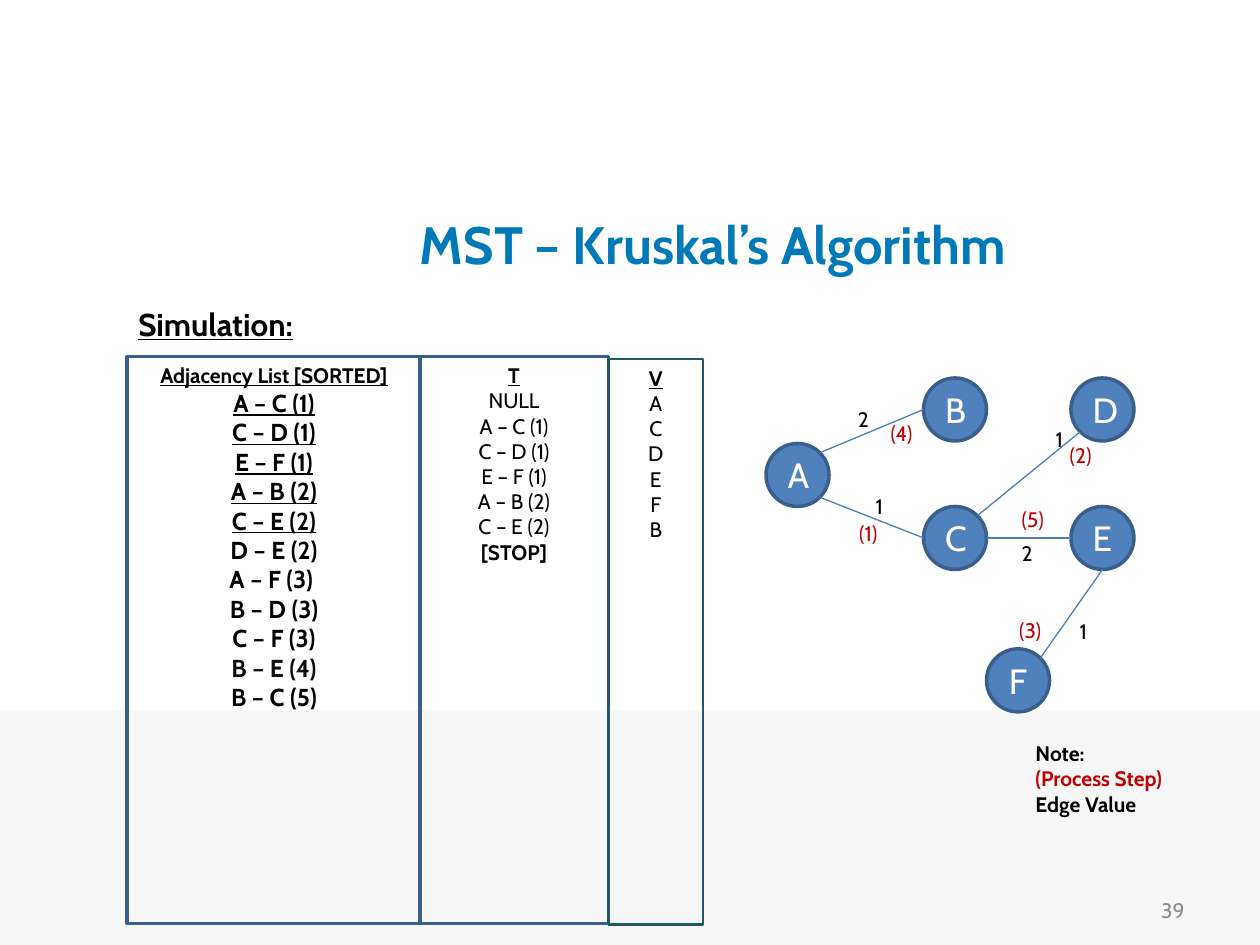
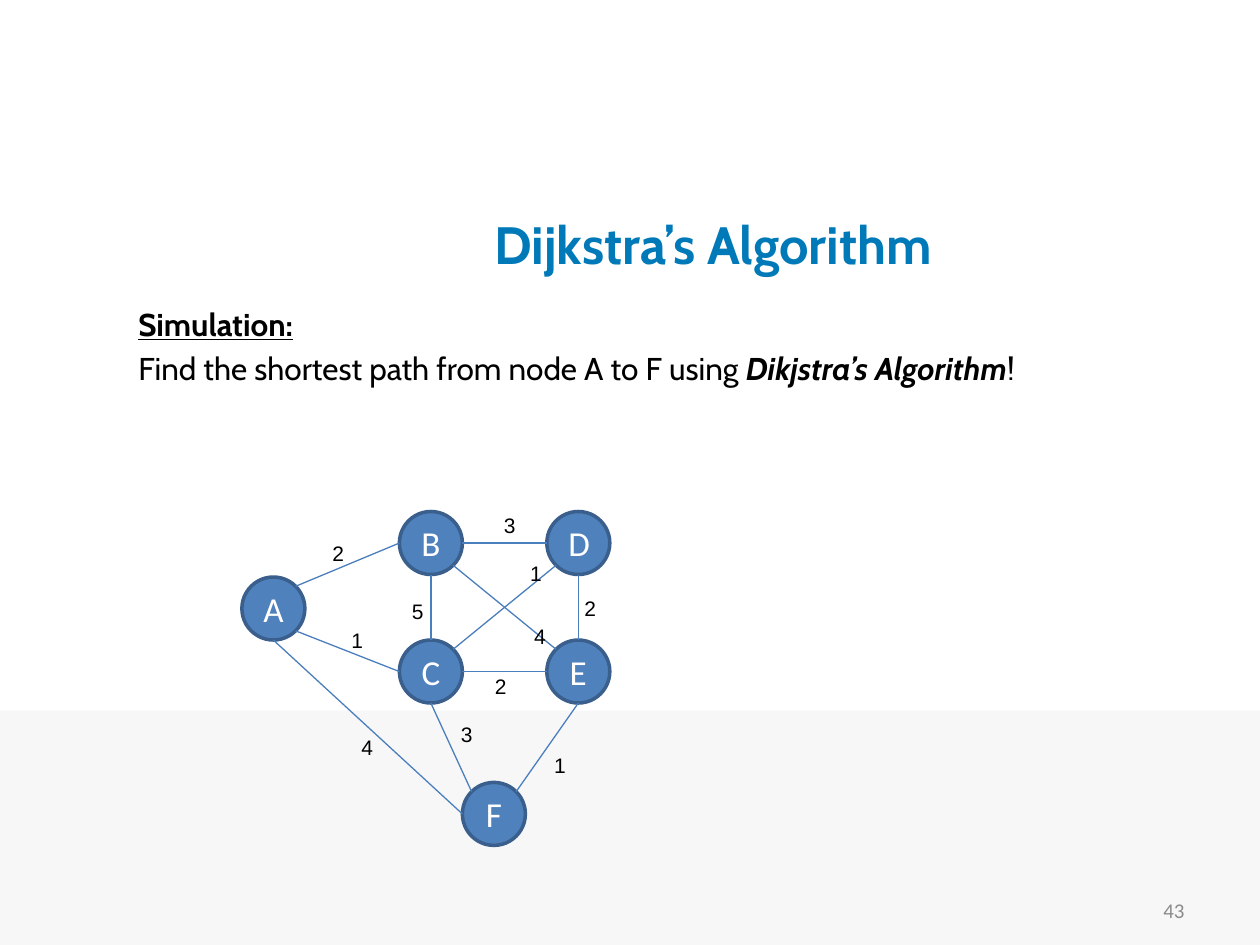
"""Build two slides that simulate the Kruskal and Dijkstra graph algorithms."""
from dataclasses import dataclass
from math import sqrt
from typing import NamedTuple

from lxml.etree import SubElement
from pptx import Presentation
from pptx.dml.color import RGBColor as Rgb
from pptx.enum.shapes import MSO_CONNECTOR as Link, MSO_SHAPE as Form
from pptx.enum.text import MSO_ANCHOR as Anchor, MSO_AUTO_SIZE as Fit, PP_ALIGN as Align
from pptx.oxml.ns import qn
from pptx.util import Inches, Pt


@dataclass(frozen=True)
class Theme:
    title: str = "0079B8"
    band: str = "F7F7F7"
    page: str = "8C8C8C"
    node: str = "4F81BD"
    rim: str = "3A5F8C"
    edge: str = "4B7EBC"
    teal: str = "215968"
    ink: str = "000000"
    soft: str = "0D0D0D"
    step: str = "C00000"
    white: str = "FFFFFF"
    font: str = "Cabin"
    head_size: int = 30
    node_size: int = 20
    body_size: int = 18
    list_size: int = 14
    note_size: int = 12


T = Theme()


class Box(NamedTuple):
    x: float
    y: float
    w: float
    h: float


class Run(NamedTuple):
    text: str
    size: int = T.note_size
    color: str = T.ink
    font: str = T.font
    style: dict = {}


class Label(NamedTuple):
    text: str
    x: float
    y: float


class Column(NamedTuple):
    box: Box
    line: str
    width: float
    rows: list


class Graph(NamedTuple):
    x: float
    y: float
    edges: str
    labels: list
    node_font: str
    label_font: str


BOLD = {"bold": True}
UNDER = {"bold": True, "underline": True}
SIDE = 0.5
NODES = {"A": (0, 0.52), "B": (1.25, 0), "C": (1.25, 1.02),
         "D": (2.42, 0), "E": (2.42, 1.02), "F": (1.75, 2.15)}
SITES = {"n": (0, -1), "e": (1, 0), "s": (0, 1), "w": (-1, 0),
         "ne": (1, -1), "se": (1, 1), "sw": (-1, 1), "nw": (-1, -1)}


def write(shape, rows: list, align=Align.LEFT, anchor=Anchor.TOP, gap: float = 0) -> None:
    """Fill a shape with paragraphs, each a list of runs."""
    frame = shape.text_frame
    frame.word_wrap = True
    frame.vertical_anchor = anchor
    for i, row in enumerate(rows):
        para = frame.paragraphs[0] if i == 0 else frame.add_paragraph()
        para.alignment = align
        para.space_before = Pt(gap)
        for run in row:
            part = para.add_run()
            part.text = run.text
            part.font.color.rgb = Rgb.from_string(run.color)
            for key, value in {"name": run.font, "size": Pt(run.size), **run.style}.items():
                setattr(part.font, key, value)


def add_text(slide, box: Box, rows: list, **form):
    """Add a text box."""
    shape = slide.shapes.add_textbox(*map(Inches, box))
    write(shape, rows, **form)
    return shape


def add_form(slide, form, box: Box, fill: str = "", line: str = "", width: float = 0):
    """Add a flat preset shape with an optional fill and line."""
    shape = slide.shapes.add_shape(form, *map(Inches, box))
    shape.shadow.inherit = False
    if fill:
        shape.fill.solid()
        shape.fill.fore_color.rgb = Rgb.from_string(fill)
    else:
        shape.fill.background()
    if line:
        shape.line.color.rgb = Rgb.from_string(line)
        shape.line.width = Pt(width)
    else:
        shape.line.fill.background()
    return shape


def add_note(slide, box: Box, rows: list) -> None:
    """Add a text box that grows with its unwrapped text."""
    frame = add_text(slide, box, rows).text_frame
    frame.word_wrap = False
    frame.auto_size = Fit.SHAPE_TO_FIT_TEXT


def find_site(graph: Graph, name: str) -> tuple[float, float]:
    """Find a point on a node's rim from a name such as A.ne."""
    node, side = name.split(".")
    dx, dy = SITES[side]
    reach = SIDE / 2 / sqrt(dx * dx + dy * dy)
    x, y = NODES[node]
    return graph.x + x + SIDE / 2 + dx * reach, graph.y + y + SIDE / 2 + dy * reach


def draw_graph(slide, graph: Graph) -> None:
    """Draw the nodes, edges and labels of a graph."""
    for name, (x, y) in NODES.items():
        box = Box(graph.x + x, graph.y + y, SIDE, SIDE)
        node = add_form(slide, Form.OVAL, box, T.node, T.rim, 2)
        write(node, [[Run(name, T.node_size, T.white, graph.node_font)]],
              Align.CENTER, Anchor.MIDDLE)
    for edge in graph.edges.split():
        start, end = (find_site(graph, name) for name in edge.split("-"))
        line = slide.shapes.add_connector(Link.STRAIGHT, *map(Inches, start + end))
        line.line.color.rgb = Rgb.from_string(T.edge)
        line.line.width = Pt(0.75)
        SubElement(line._element.spPr, qn("a:effectLst"))
    for text, x, y in graph.labels:
        step = text.startswith("(")
        run = Run(text, color=T.step if step else T.ink, font=graph.label_font)
        add_note(slide, Box(x, y, 0.42 if step else 0.29, 0.3), [[run]])


def add_slide(deck, title: str, page: Run, body: Box, rows: list):
    """Add a slide with the band, title, page number and body text."""
    slide = deck.slides.add_slide(deck.slide_layouts[6])
    add_form(slide, Form.RECTANGLE, Box(0, 5.64, 10, 1.86), T.band)
    add_text(slide, Box(1.92, 1.5, 7.48, 0.87), [[Run(title, T.head_size, T.title, style=BOLD)]],
             align=Align.CENTER, anchor=Anchor.MIDDLE)
    add_text(slide, Box(7.17, 7.02, 2.33, 0.4), [[page]],
             align=Align.RIGHT, anchor=Anchor.MIDDLE)
    head = [Run("Simulation:", T.body_size, style=UNDER)]
    add_text(slide, body, [head, *rows], gap=T.body_size * 0.2)
    return slide


def build_kruskal(deck) -> None:
    """Build the minimum spanning tree slide."""
    slide = add_slide(deck, "MST – Kruskal’s Algorithm", Run("39", color=T.page),
                      Box(1, 2.37, 2, 0.48), [])
    tree = ["A – C (1)", "C – D (1)", "E – F (1)", "A – B (2)", "C – E (2)"]
    rest = ["D – E (2)", "A – F (3) ", "B – D (3)", "C – F (3)"]
    columns = [
        Column(Box(3.33, 2.83, 1.5, 4.5), T.rim, 2,
               [Run("T", style=UNDER), *map(Run, ["NULL", *tree]), Run("[STOP]", style=BOLD)]),
        Column(Box(4.83, 2.85, 0.75, 4.49), T.teal, 1.5,
               [Run("V", style=UNDER), *map(Run, "ACDEFB")]),
        Column(Box(1.01, 2.83, 2.33, 4.5), T.rim, 2,
               [Run("Adjacency List [SORTED]", style=UNDER),
                *(Run(text, T.list_size, style=UNDER) for text in tree),
                *(Run(text, T.list_size, style=BOLD) for text in rest),
                Run("B – E (4)", T.list_size, T.soft, style=BOLD),
                Run("B – C (5)", T.list_size, style=BOLD)]),
    ]
    for col in columns:
        shape = add_form(slide, Form.RECTANGLE, col.box, line=col.line, width=col.width)
        write(shape, [[run] for run in col.rows], Align.CENTER)
    draw_graph(slide, Graph(
        6.08, 3, "A.ne-B.w A.se-C.w C.e-E.w D.sw-C.ne F.ne-E.s",
        [Label("2", 6.71, 3.18), Label("1", 8.28, 3.34), Label("1", 6.85, 3.87),
         Label("1", 8.47, 4.86), Label("2", 8.01, 4.24), Label("(1)", 6.72, 4.08),
         Label("(2)", 8.39, 3.46), Label("(5)", 8.01, 3.97), Label("(3)", 7.99, 4.85),
         Label("(4)", 6.97, 3.29)], T.font, T.font))
    add_note(slide, Box(8.12, 5.83, 1.44, 0.71),
             [[Run("Note:", style=BOLD)], [Run("(Process Step)", color=T.step, style=BOLD)],
              [Run("Edge Value", style=BOLD)]])


def build_dijkstra(deck) -> None:
    """Build the shortest path slide."""
    task = [Run("Find the shortest path from node A to F using ", T.body_size),
            Run("Dikjstra’s Algorithm", T.body_size, style={"bold": True, "italic": True}),
            Run("!", T.body_size)]
    slide = add_slide(deck, "Dijkstra’s Algorithm", Run("43", color=T.page, font="Calibri"),
                      Box(1, 2.37, 8.58, 4.69), [task])
    draw_graph(slide, Graph(
        1.92, 4.06,
        "A.ne-B.w A.se-C.w B.e-D.w D.s-E.n C.e-E.w B.s-C.n D.sw-C.ne B.se-E.nw "
        "A.s-F.w F.ne-E.s C.s-F.nw",
        [Label("2", 2.54, 4.24), Label("3", 3.9, 4.02), Label("2", 4.54, 4.68),
         Label("1", 4.11, 4.4), Label("4", 4.14, 4.9), Label("5", 3.17, 4.7),
         Label("1", 2.69, 4.93), Label("4", 2.77, 5.78), Label("3", 3.56, 5.68),
         Label("1", 4.3, 5.92), Label("2", 3.83, 5.3)], "Calibri", "Arial"))


def main() -> None:
    """Build and save the deck."""
    deck = Presentation()
    deck.slide_width, deck.slide_height = Inches(10), Inches(7.5)
    build_kruskal(deck)
    build_dijkstra(deck)
    deck.save("out.pptx")


if __name__ == "__main__":
    main()
